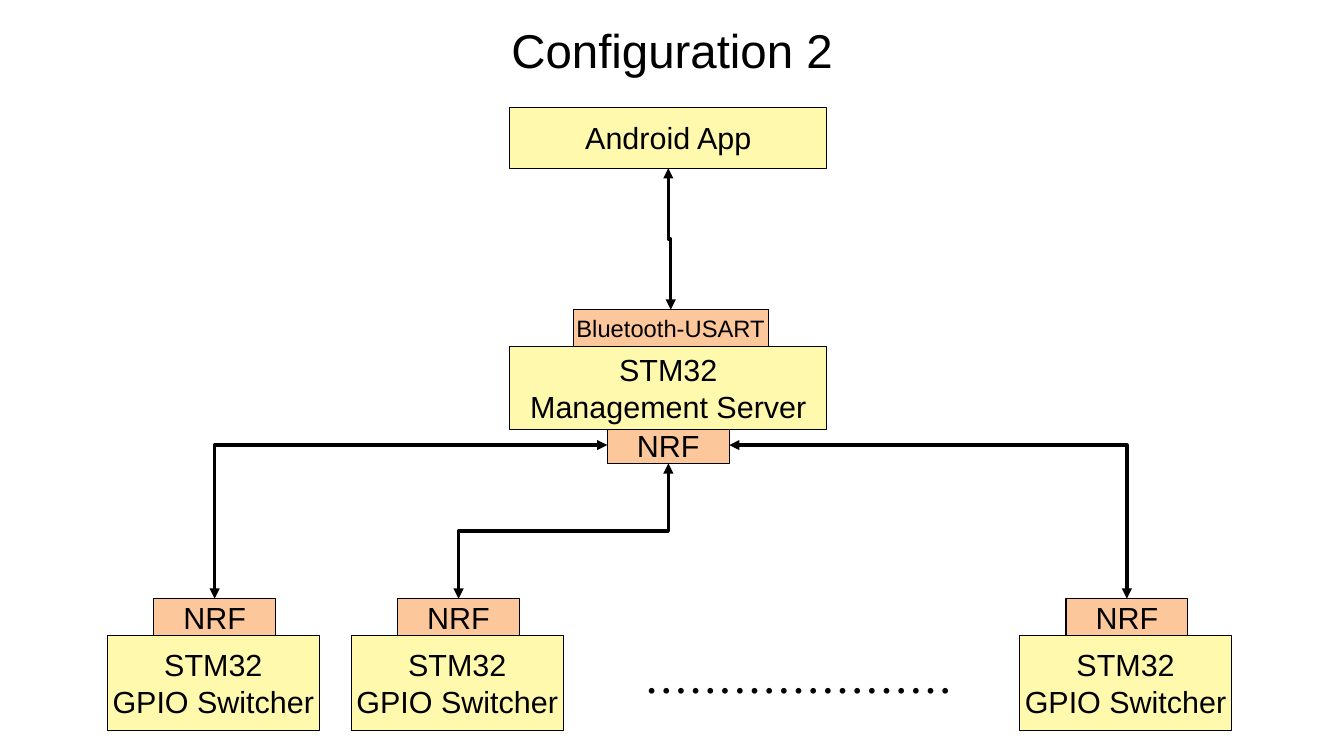
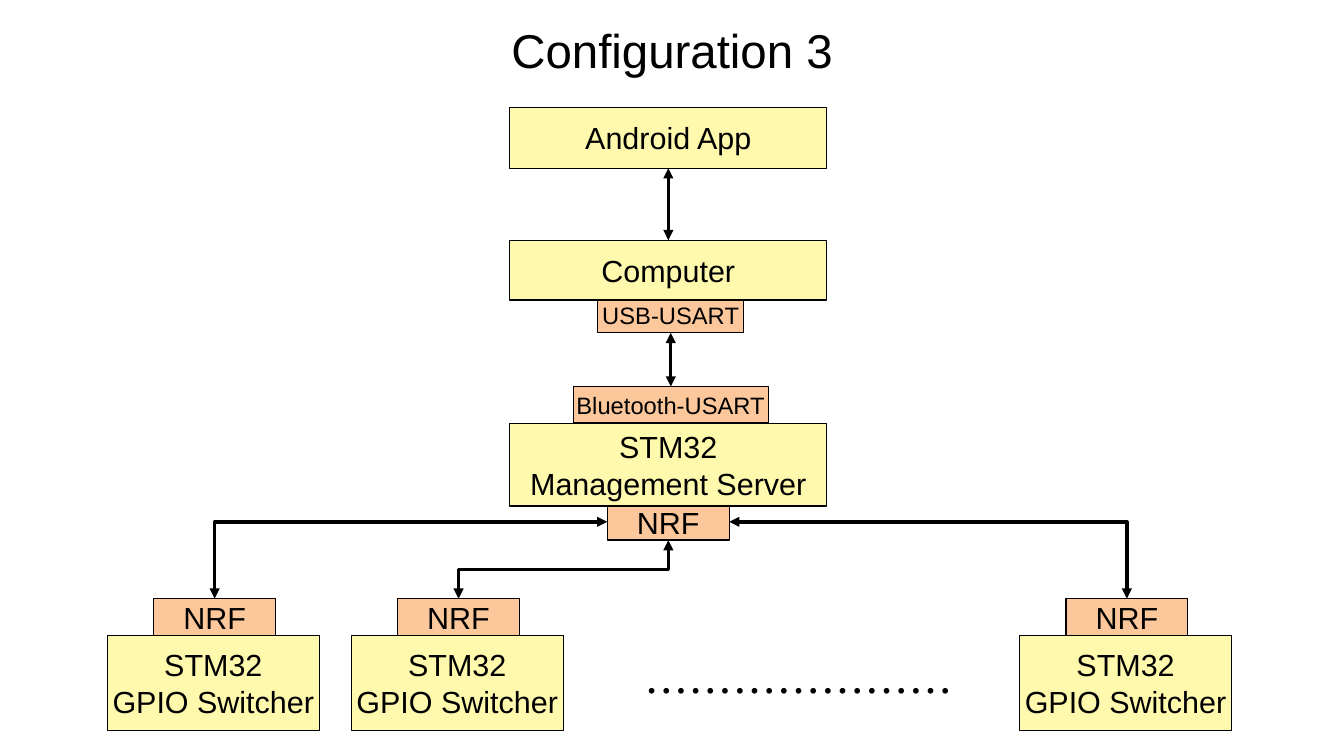
from pptx import Presentation
from pptx import util as u
from pptx.dml.color import RGBColor
from pptx.enum import shapes, text
from pptx.oxml import ns
from lxml import etree

COLS, ROWS = 110.2, 62  # ten cells to the inch
CREAM, PEACH, BLACK = "FFF9AE", "FCC79B", "000000"
MID = 54.8  # centre column of the main stack
TOP, LEFT, BOTTOM, RIGHT = range(4)  # connection sites of a rectangle


def cell(n):
    return u.Inches(n / 10)


def color(code):
    return RGBColor.from_string(code)


def write(frame, words, size=18, font="Arial", wrap=True,
          anchor=text.MSO_ANCHOR.TOP, fit=text.MSO_AUTO_SIZE.NONE):
    frame.word_wrap = wrap
    frame.vertical_anchor = anchor
    frame.auto_size = fit
    para = frame.paragraphs[0]
    para.text = words
    para.alignment = text.PP_ALIGN.CENTER
    for run in para.runs:
        run.font.size = u.Pt(size)
        run.font.name = font
        run.font.color.rgb = color(BLACK)


class Deck:
    def __init__(self):
        self.prs = Presentation()
        self.prs.slide_width = cell(COLS)
        self.prs.slide_height = cell(ROWS)

    def page(self, title):
        self.slide = self.prs.slides.add_slide(self.prs.slide_layouts[5])
        head = self.slide.shapes.title
        head.left, head.top = 0, cell(1.2)
        head.width, head.height = cell(COLS), cell(5.3)
        write(head.text_frame, title, size=28,
              fit=text.MSO_AUTO_SIZE.SHAPE_TO_FIT_TEXT)

    def box(self, words, mid, top, wide, high, fill=CREAM, size=18):
        """Add a labelled rectangle centred on column mid."""
        box = self.slide.shapes.add_shape(
            shapes.MSO_SHAPE.RECTANGLE, cell(mid - wide / 2), cell(top),
            cell(wide), cell(high))
        box.shadow.inherit = False
        box.fill.solid()
        box.fill.fore_color.rgb = color(fill)
        box.line.color.rgb = color(BLACK)
        box.line.width = 0
        write(box.text_frame, words, size=size, wrap=False,
              anchor=text.MSO_ANCHOR.MIDDLE)
        return box

    def chip(self, words, mid, top, wide=10, size=18):
        return self.box(words, mid, top, wide, 3, PEACH, size)

    def link(self, start, exit, end, entry, kind="line"):
        """Glue a two-headed arrow to sites of two boxes."""
        bent = kind != "line"
        types = shapes.MSO_CONNECTOR
        line = self.slide.shapes.add_connector(
            types.ELBOW if bent else types.STRAIGHT, 0, 0, 0, 0)
        line.begin_connect(start, exit)
        line.end_connect(end, entry)
        line.line.color.rgb = color(BLACK)
        line.line.width = 0
        props = line._element.spPr
        props.find(ns.qn("a:prstGeom")).set("prst", kind)
        if kind == "bentConnector3":
            self.turn(line)
        stroke = props.find(ns.qn("a:ln"))
        for tip in ("a:headEnd", "a:tailEnd"):
            etree.SubElement(stroke, ns.qn(tip), type="triangle")
        etree.SubElement(props, ns.qn("a:effectLst"))

    def turn(self, line):
        """Make a downward elbow leave and arrive vertically."""
        wide = line.end_x - line.begin_x
        high = line.end_y - line.begin_y
        left = (line.begin_x + line.end_x - high) // 2
        top = (line.begin_y + line.end_y - abs(wide)) // 2
        line.left, line.top = left, top
        line.width, line.height = high, abs(wide)
        frame = line._element.spPr.find(ns.qn("a:xfrm"))
        frame.set("rot", "5400000")
        frame.set("flipH", "0")
        frame.set("flipV", "1" if wide > 0 else "0")

    def dots(self):
        area = self.slide.shapes.add_textbox(
            cell(49), cell(52.8), cell(33), cell(5.2))
        write(area.text_frame, "…………………", size=26, font="DejaVu Serif",
              fit=text.MSO_AUTO_SIZE.SHAPE_TO_FIT_TEXT)

    def server(self, top):
        """Add the server with its two radios; return both radios."""
        blue = self.chip("Bluetooth-USART", MID + 0.2, top - 3, 16, 14)
        hub = self.chip("NRF", MID, top + 6.6)
        self.box("STM32\nManagement Server", MID, top, 26, 6.8)
        return blue, hub

    def leaves(self, hub):
        routes = ((17.5, LEFT, "bentConnector2"),
                  (37.5, BOTTOM, "bentConnector3"),
                  (92.3, RIGHT, "bentConnector2"))
        for mid, exit, kind in routes:
            radio = self.chip("NRF", mid + 0.1, 49.1)
            self.box("STM32\nGPIO Switcher", mid, 52.1, 17.4, 7.8)
            self.link(hub, exit, radio, TOP, kind)
        self.dots()

    def setup(self, number, top):
        """Add the parts that every configuration has."""
        self.page(f"Configuration {number}")
        app = self.box("Android App", MID, 8.8, 26, 5)
        blue, hub = self.server(top)
        self.leaves(hub)
        return app, blue


def main():
    deck = Deck()
    app, blue = deck.setup(2, 28.4)
    deck.link(app, BOTTOM, blue, TOP, "bentConnector3")

    app, blue = deck.setup(3, 34.7)
    usb = deck.chip("USB-USART", MID + 0.2, 24.3, 12, 14)
    host = deck.box("Computer", MID, 19.7, 26, 4.9)
    deck.link(app, BOTTOM, host, TOP)
    deck.link(usb, BOTTOM, blue, TOP)
    deck.prs.save("out.pptx")


if __name__ == "__main__":
    main()
